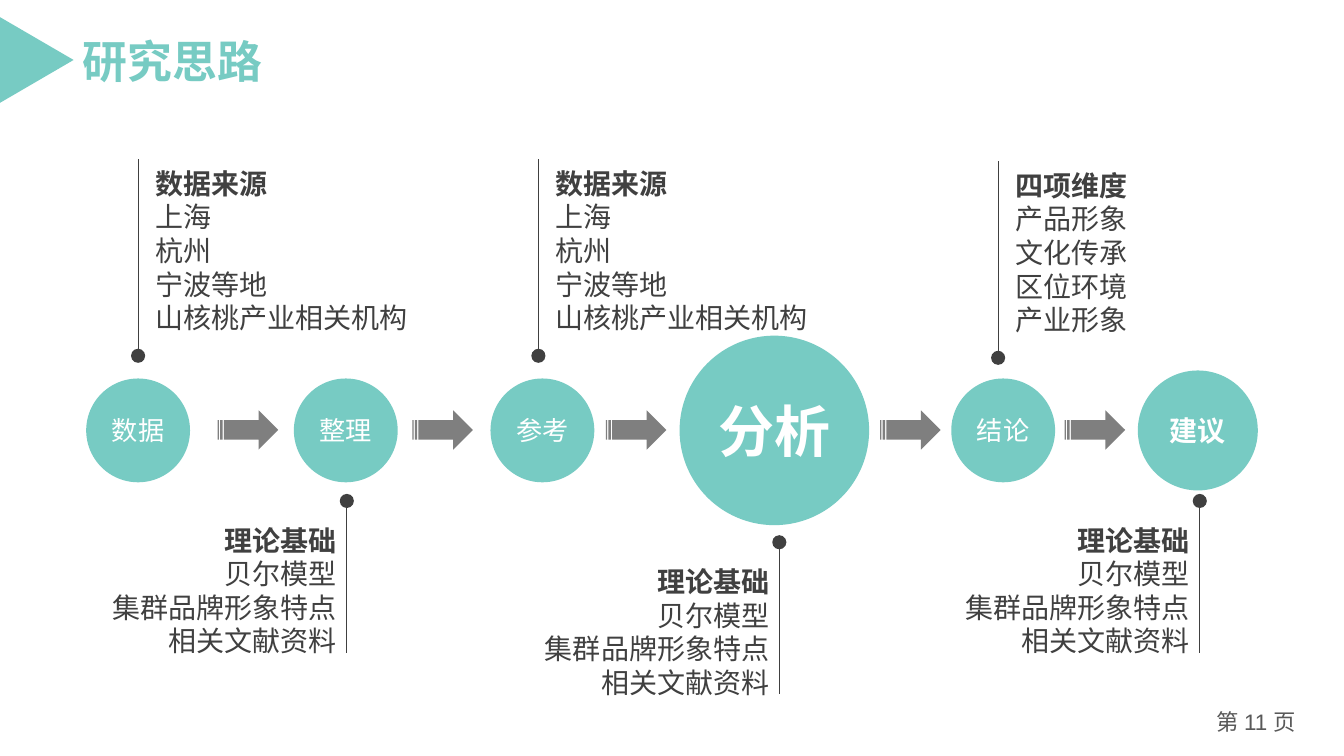
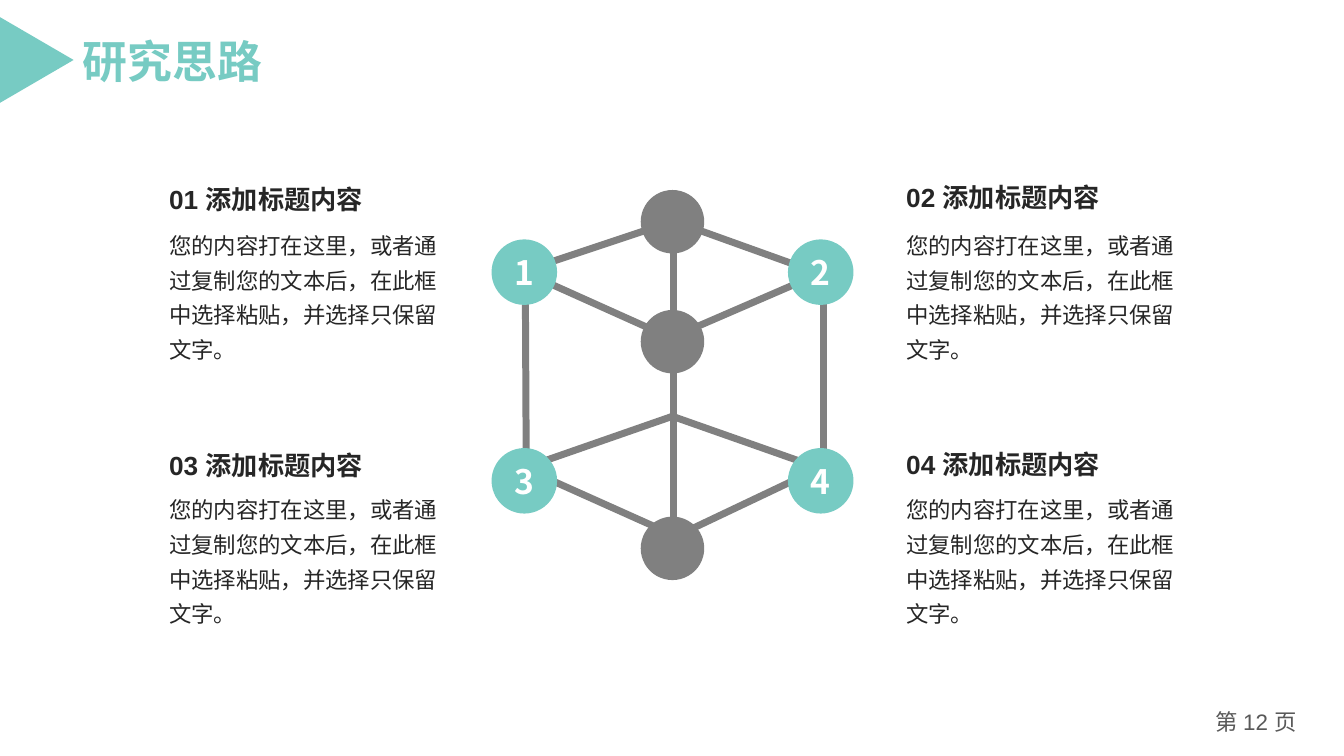
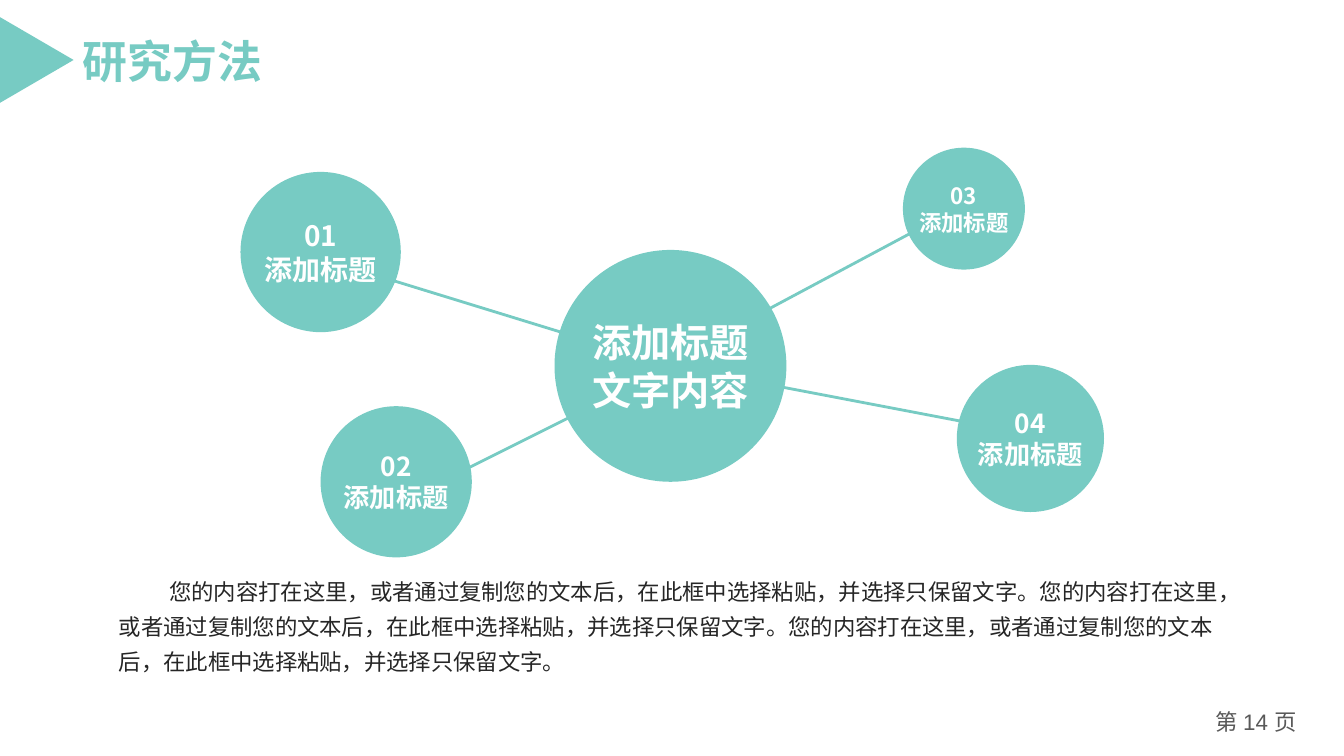
"""Three research slides: process flow, cube diagram and hub of methods."""
from lxml import etree
from pptx import Presentation
from pptx import util as u
from pptx.dml.color import RGBColor
from pptx.enum import shapes, text
from pptx.oxml.ns import qn

TEAL, GRAY, ARROW, DARK, INK, FOOT, WHITE = (
    "77CBC3", "808080", "7F7F7F", "404040", "262626", "595959", "FFFFFF")
CJK, LATIN = "Noto Sans CJK SC", "Arial"
LEFT, CENTER, RIGHT = text.PP_ALIGN.LEFT, text.PP_ALIGN.CENTER, text.PP_ALIGN.RIGHT
BODY = "您的内容打在这里，或者通过复制您的文本后，在此框中选择粘贴，并选择只保留文字。"

FLOW_Y = 4.27
STEPS = [("数据", 1.37, 1.03, 18.7, False), ("整理", 3.43, 1.03, 18.7, False),
         ("参考", 5.38, 1.03, 18.7, False), ("分析", 7.68, 1.88, 40, True),
         ("结论", 9.95, 1.03, 18.7, False), ("建议", 11.88, 1.19, 20, True)]
ARROWS = [2.16, 4.09, 6.01, 8.73, 10.56]
SOURCES = ["数据来源", "上海", "杭州", "宁波等地", "山核桃产业相关机构"]
ASPECTS = ["四项维度", "产品形象", "文化传承", "区位环境", "产业形象"]
THEORY = ["理论基础", "贝尔模型", "集群品牌形象特点", "相关文献资料"]
CALLOUTS_ABOVE = [(1.37, 3.53, SOURCES), (5.34, 3.53, SOURCES), (9.9, 3.55, ASPECTS)]
CALLOUTS_BELOW = [(3.44, 4.97, THEORY), (7.73, 5.38, THEORY), (11.9, 4.97, THEORY)]

CUBE_EDGES = [(6.66, 2.2, 5.16, 2.7), (7.99, 4.71, 6.79, 5.28), (6.67, 4.13, 5.32, 4.6),
              (8, 2.77, 6.66, 3.35), (6.55, 5.25, 5.39, 4.73), (8.06, 4.62, 6.64, 4.12),
              (8.12, 2.71, 6.7, 2.2), (6.58, 3.32, 5.29, 2.74), (5.21, 2.77, 5.22, 4.69),
              (8.17, 2.77, 8.17, 4.69), (6.68, 2.34, 6.68, 5.3)]
CORNERS = [("1", 5.2, 2.7), ("2", 8.14, 2.7), ("3", 5.2, 4.77), ("4", 8.14, 4.77)]
JOINT_X, JOINT_YS = 6.67, [2.2, 3.39, 5.44]
PANELS = [("01", 1.58, 1.77, 2.17), ("02", 8.89, 1.75, 2.17),
          ("03", 1.58, 4.41, 4.79), ("04", 8.89, 4.4, 4.79)]

SPOKES = [(3.66, 2.71, 6.62, 3.62), (4.49, 4.72, 6.63, 3.65),
          (6.53, 3.65, 9.32, 2.16), (6.6, 3.62, 10.22, 4.31)]
BUBBLES = [(["添加标题", "文字内容"], 6.65, 3.63, 2.3, 28),
           (["03", "添加标题"], 9.56, 2.07, 1.21, 16),
           (["01", "添加标题"], 3.18, 2.5, 1.59, 20),
           (["04", "添加标题"], 10.22, 4.35, 1.46, 18.7),
           (["02", "添加标题"], 3.93, 4.78, 1.5, 18.7)]


def rgb(value):
    return RGBColor.from_string(value)


def style(font, size, color, bold=False, name=CJK):
    font.size, font.bold, font.name = u.Pt(size), bold, name
    font.color.rgb = rgb(color)
    etree.SubElement(font._rPr, qn("a:ea")).set("typeface", CJK)


def write(tf, lines, size, color, bold=False, name=CJK, align=LEFT, head_bold=False):
    for i, line in enumerate(lines):
        p = tf.paragraphs[0] if i == 0 else tf.add_paragraph()
        p.alignment = align
        p.add_run().text = line
        style(p.font, size, color, bold or (head_bold and i == 0), name)


def add_text(s, x, y, w, h, lines, size, color, wrap=True, **options):
    tf = s.shapes.add_textbox(*map(u.Inches, (x, y, w, h))).text_frame
    tf.word_wrap = wrap
    tf.auto_size = text.MSO_AUTO_SIZE.SHAPE_TO_FIT_TEXT
    write(tf, lines, size, color, **options)
    return tf


def add_shape(s, kind, x, y, w, h, fill):
    sp = s.shapes.add_shape(kind, *map(u.Inches, (x, y, w, h)))
    sp.shadow.inherit = False
    sp.fill.solid()
    sp.fill.fore_color.rgb = rgb(fill)
    sp.line.fill.background()
    return sp


def add_circle(s, x, y, d, fill, lines=(), size=18, bold=True):
    sp = add_shape(s, shapes.MSO_SHAPE.OVAL, x - d / 2, y - d / 2, d, d, fill)
    tf = sp.text_frame
    tf.word_wrap = False
    tf.vertical_anchor = text.MSO_ANCHOR.MIDDLE
    write(tf, lines, size, WHITE, bold, align=CENTER)


def add_line(s, ends, color, width):
    c = s.shapes.add_connector(shapes.MSO_CONNECTOR.STRAIGHT, *map(u.Inches, ends))
    c.line.color.rgb = rgb(color)
    c.line.width = u.Pt(width)
    etree.SubElement(c._element.spPr, qn("a:effectLst"))


def add_page(prs, title, number):
    s = prs.slides.add_slide(prs.slide_layouts[6])
    tf = add_text(s, 11.86, 6.98, 1.2, 0.4, [], 16, FOOT)
    p = tf.paragraphs[0]
    p.alignment = CENTER
    for part, name in (("第 ", CJK), (f"{number} ", LATIN), ("页", CJK)):
        r = p.add_run()
        r.text = part
        style(r.font, 16, FOOT, name=name)
    tf = add_text(s, 0.69, 0.26, 2.06, 0.67, [title], 32, TEAL, wrap=False, bold=True, name=LATIN)
    tf.margin_left = tf.margin_right = u.Inches(0.13)
    tf.margin_top = tf.margin_bottom = u.Inches(0.07)
    add_shape(s, shapes.MSO_SHAPE.ISOSCELES_TRIANGLE, -0.06, 0.23, 0.85, 0.73, TEAL).rotation = 90
    return s


def add_callout(s, x, y, lines, above):
    w = 0.28 * max(map(len, lines)) + 0.2
    add_circle(s, x, y, 0.14, DARK)
    add_line(s, (x, y, x, y - 1.95 if above else y + 1.51), DARK, 0.5)
    left, top = (x + 0.07, y - 1.93) if above else (x - w, y + 0.17)
    add_text(s, left, top, w, 0.33 * len(lines) + 0.1, lines, 20, DARK, wrap=False,
             align=LEFT if above else RIGHT, head_bold=True)


def build_flow(prs):
    s = add_page(prs, "研究思路", 11)
    for label, x, d, size, bold in STEPS:
        add_circle(s, x, FLOW_Y, d, TEAL, [label], size, bold)
    for x in ARROWS:
        add_shape(s, shapes.MSO_SHAPE.STRIPED_RIGHT_ARROW, x, 4.07, 0.6, 0.39, ARROW)
    for above, callouts in ((True, CALLOUTS_ABOVE), (False, CALLOUTS_BELOW)):
        for x, y, lines in callouts:
            add_callout(s, x, y, lines, above)


def build_cube(prs):
    s = add_page(prs, "研究思路", 12)
    for ends in CUBE_EDGES:
        add_line(s, ends, GRAY, 5)
    for label, x, y in CORNERS:
        add_circle(s, x, y, 0.65, TEAL, [label], 24)
    for y in JOINT_YS:
        add_circle(s, JOINT_X, y, 0.63, GRAY)
    for number, x, head_y, body_y in PANELS:
        add_text(s, x, head_y, 2.93, 0.42, [f"{number} 添加标题内容"], 18.7, INK, bold=True, name=LATIN)
        tf = add_text(s, x, body_y, 2.93, 1.5, [BODY], 16, INK)
        tf.paragraphs[0].line_spacing = 1.3


def build_hub(prs):
    s = add_page(prs, "研究方法", 14)
    for ends in SPOKES:
        add_line(s, ends, TEAL, 2)
    tf = add_text(s, 1.08, 5.61, 11.13, 1.15, [BODY * 3], 16, INK)
    p = tf.paragraphs[0]
    p.line_spacing = 1.3
    p._p.get_or_add_pPr().set("indent", str(u.Inches(0.5)))
    for lines, x, y, d, size in BUBBLES:
        add_circle(s, x, y, d, TEAL, lines, size)


def main():
    prs = Presentation()
    prs.slide_width, prs.slide_height = u.Inches(13.33), u.Inches(7.5)
    for build in (build_flow, build_cube, build_hub):
        build(prs)
    prs.save("out.pptx")


if __name__ == "__main__":
    main()
